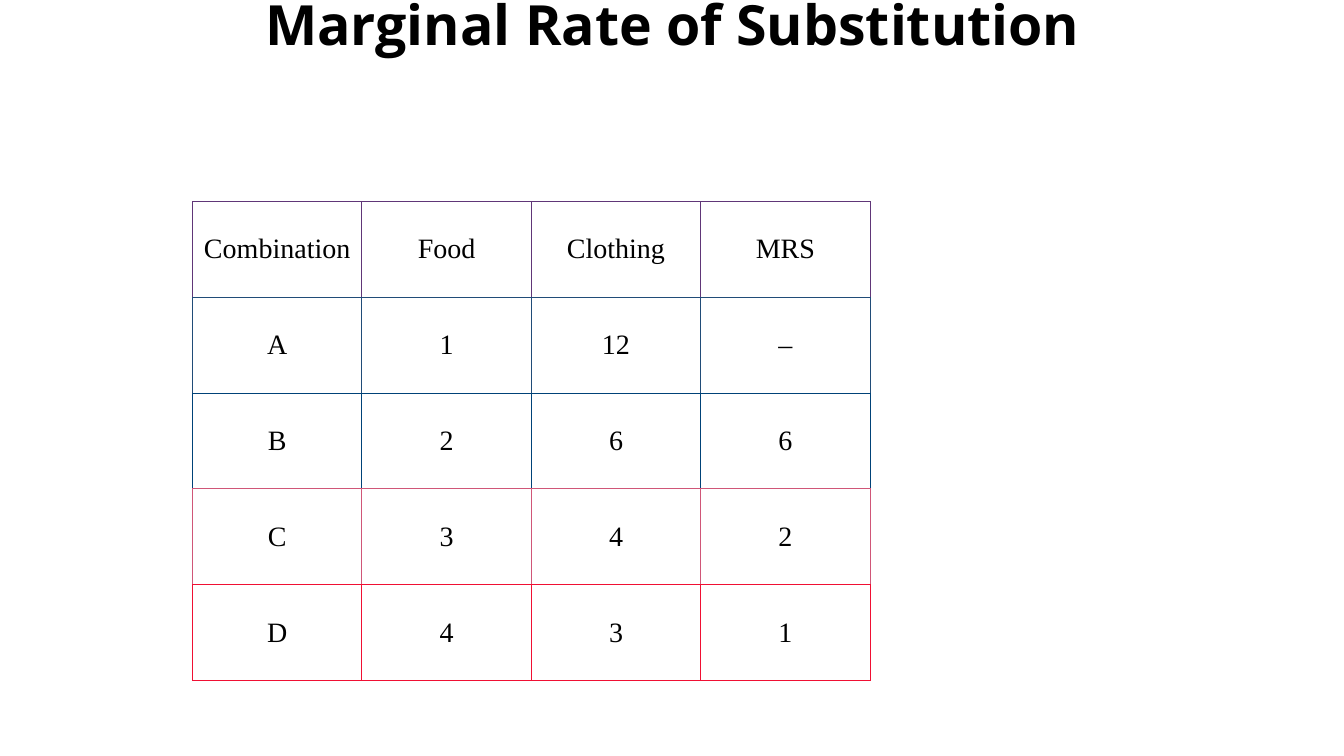
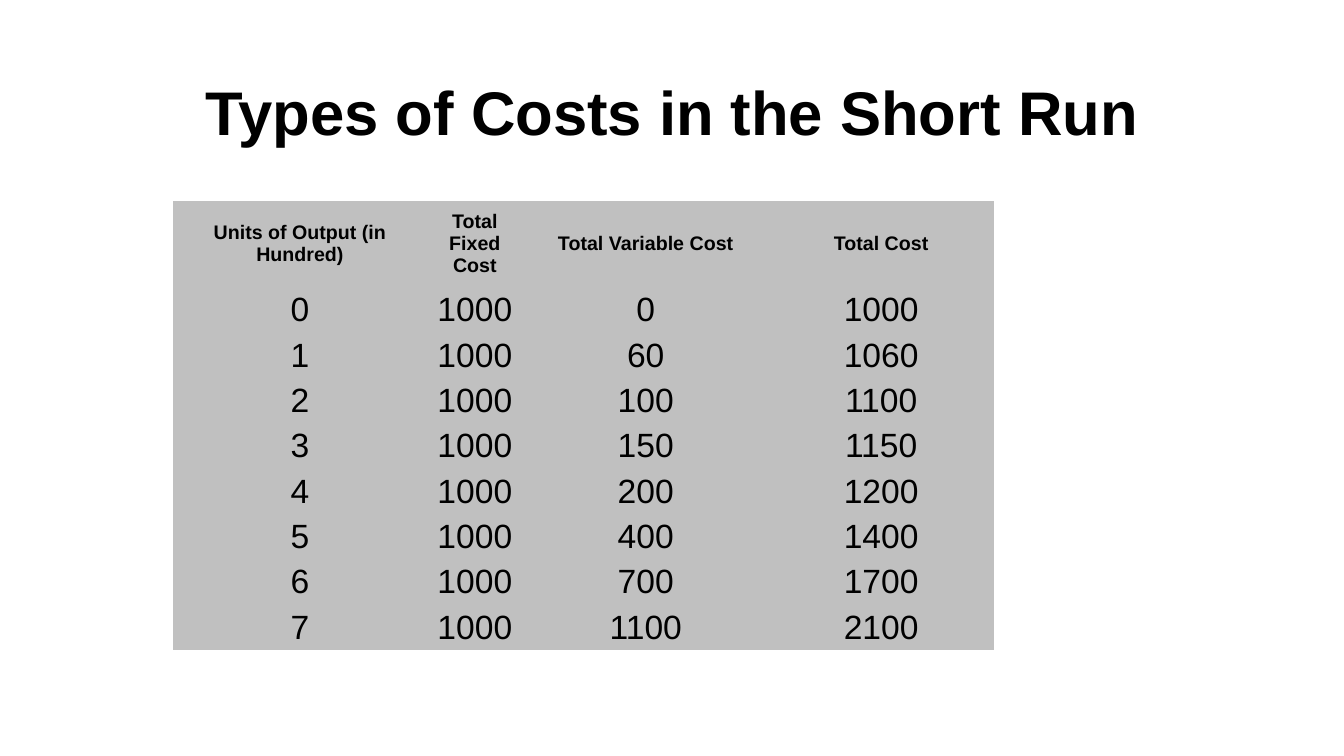
from itertools import chain

from pptx import Presentation, util as u
from pptx.dml import color
from pptx.enum import text as t
from pptx.oxml import xmlchemy as xml

PX = 9144  # 100 px to the inch
BLACK, WHITE, GREY = "000000", "FFFFFF", "C0C0C0"
NO_GRID = "{2D5ABB26-0587-4C30-8999-92F81FD0307C}"

RATES = [
    ["Combination", "Food", "Clothing", "MRS"],
    ["A", 1, 12, "–"],
    ["B", 2, 6, 6],
    ["C", 3, 4, 2],
    ["D", 4, 3, 1],
]
EDGES = ["603678", "204C78", "004278", "D05678", "F00F33"]

HEADS = ["Units of Output (in Hundred)", "Total Fixed Cost",
         "Total Variable Cost", "Total Cost"]
FIXED = 1000
VARIED = [0, 60, 100, 150, 200, 400, 700, 1100]


def px(n):
    return u.Emu(n * PX)


def rgb(code):
    return color.RGBColor.from_string(code)


def write(frame, words, font="Arial", size=24, bold=False, tint=BLACK, space=None):
    """Fill a text frame with one centred paragraph."""
    frame.word_wrap = True
    para = frame.paragraphs[0]
    para.alignment = t.PP_ALIGN.CENTER
    if space:
        para.line_spacing = space
    run = para.add_run()
    run.text = str(words)
    run.font.name, run.font.size, run.font.bold = font, u.Pt(size), bold
    run.font.color.rgb = rgb(tint)


def add_slide(deck, title, box, anchor=t.MSO_ANCHOR.MIDDLE, **style):
    slide = deck.slides.add_slide(deck.slide_layouts[5])
    head = slide.shapes.title
    head.left, head.top, head.width, head.height = map(px, box)
    frame = head.text_frame
    frame.auto_size = t.MSO_AUTO_SIZE.NONE
    frame.vertical_anchor = anchor
    frame.margin_top = frame.margin_bottom = 0
    write(frame, title, bold=True, **style)
    return slide


def edge(cell, sides):
    """Draw cell borders; sides maps L, R, T and B, in that order, to colours."""
    props = cell._tc.get_or_add_tcPr()
    for side, tint in sides.items():
        line = xml.OxmlElement(f"a:ln{side}")
        line.set("w", str(u.Pt(0.75)))
        fill = xml.OxmlElement("a:solidFill")
        hue = xml.OxmlElement("a:srgbClr")
        hue.set("val", tint)
        fill.append(hue)
        line.append(fill)
        props.append(line)


def add_grid(slide, rows, spot, wide, high, pad, fill, head, body, edges=None):
    """Add a table; head and body are text formats, edges one colour a row."""
    left, top = spot
    grid = slide.shapes.add_table(
        len(rows), len(wide), px(left), px(top), px(sum(wide)), px(sum(high))).table
    grid.first_row = grid.horz_banding = False
    grid._tbl.tblPr.find("{*}tableStyleId").text = NO_GRID
    for part, size in chain(zip(grid.columns, wide)):
        part.width = px(size)
    for part, size in zip(grid.rows, high):
        part.height = px(size)
    for r, row in enumerate(rows):
        for c, value in enumerate(row):
            cell = grid.cell(r, c)
            if edges:
                own, below = edges[r], edges[min(r + 1, len(edges) - 1)]
                edge(cell, {"L": own, "R": own, "T": own, "B": below})
            cell.fill.solid()
            cell.fill.fore_color.rgb = rgb(fill)
            cell.vertical_anchor = t.MSO_ANCHOR.MIDDLE
            cell.margin_left = cell.margin_right = px(pad)
            cell.margin_top = cell.margin_bottom = px(pad)
            write(cell.text_frame, value, **(body if r else head))


def add_rates(deck):
    slide = add_slide(deck, "Marginal Rate of Substitution", (67, 0, 1200, 125),
                      anchor=t.MSO_ANCHOR.TOP, font="Open Sans", size=39.6, space=0.85)
    style = dict(font="Times New Roman", size=20)
    add_grid(slide, RATES, (191, 200), [168] * 4, [95] * len(RATES), 9, WHITE,
             style, style, EDGES)


def add_costs(deck):
    slide = add_slide(deck, "Types of Costs in the Short Run", (92, 37, 1150, 145),
                      size=44)
    rows = [HEADS] + [[n, FIXED, cost, FIXED + cost] for n, cost in enumerate(VARIED)]
    add_grid(slide, rows, (172, 199), [251, 96, 243, 224], [86] + [45] * len(VARIED),
             1, GREY, dict(size=14, bold=True), dict(size=24))


def main():
    deck = Presentation()
    deck.slide_width, deck.slide_height = px(1333), px(750)
    add_rates(deck)
    add_costs(deck)
    deck.save("out.pptx")


if __name__ == "__main__":
    main()
